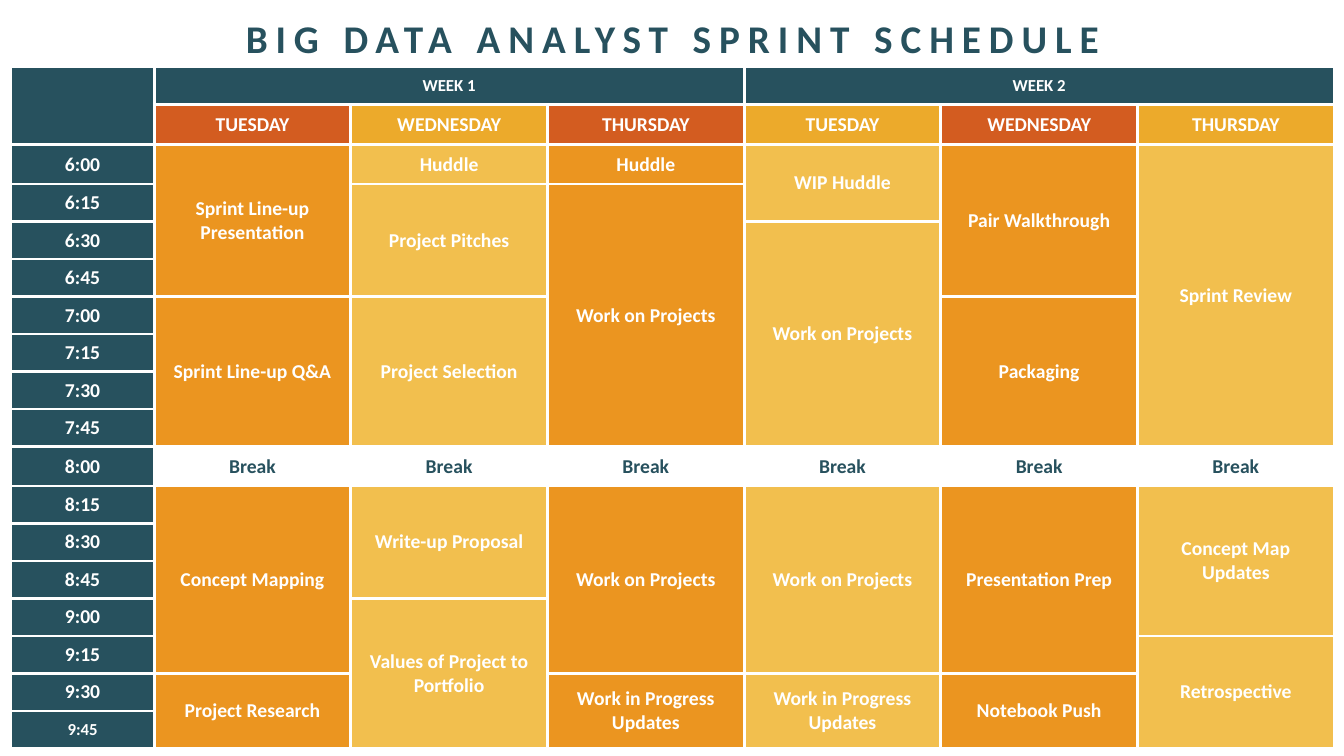
from dataclasses import dataclass

from lxml.etree import SubElement
from pptx import Presentation
from pptx.dml.color import RGBColor
from pptx.enum.text import MSO_ANCHOR, MSO_AUTO_SIZE, PP_ALIGN
from pptx.oxml.ns import qn
from pptx.util import Pt


@dataclass(frozen=True)
class Theme:
    font: str = "Calibri"
    navy: str = "27515E"
    white: str = "FFFFFF"
    day_fills: tuple = ("D35C20", "ECAA2B")
    activity_fills: tuple = ("EB9520", "F2BF4E")
    title_size: int = 28
    body_size: int = 14
    small_size: int = 12
    border: float = 2.25


theme = Theme()


def format_text(frame, size, color):
    paragraph = frame.paragraphs[0]
    paragraph.alignment = PP_ALIGN.CENTER
    for run in paragraph.runs:
        run.font.name = theme.font
        run.font.size = Pt(size)
        run.font.bold = True
        run.font.color.rgb = RGBColor.from_string(color)


def fill_cell(cell, text, fill, size=theme.body_size, color=theme.white):
    """Write centred text in a cell; a fill of None leaves it clear."""
    cell.text_frame.text = text
    cell.vertical_anchor = MSO_ANCHOR.MIDDLE
    format_text(cell.text_frame, size, color)
    if fill:
        cell.fill.solid()
        cell.fill.fore_color.rgb = RGBColor.from_string(fill)
    else:
        cell.fill.background()


# Each day lists its activities with the number of quarter hours they take.
days = [
    ("TUESDAY", [("Sprint Line-up Presentation", 4), ("Sprint Line-up Q&A", 4),
                 ("Break", 1), ("Concept Mapping", 5), ("Project Research", 2)]),
    ("WEDNESDAY", [("Huddle", 1), ("Project Pitches", 3), ("Project Selection", 4),
                   ("Break", 1), ("Write-up Proposal", 3),
                   ("Values of Project to Portfolio", 4)]),
    ("THURSDAY", [("Huddle", 1), ("Work on Projects", 7), ("Break", 1),
                  ("Work on Projects", 5), ("Work in Progress Updates", 2)]),
    ("TUESDAY", [("WIP Huddle", 2), ("Work on Projects", 6), ("Break", 1),
                 ("Work on Projects", 5), ("Work in Progress Updates", 2)]),
    ("WEDNESDAY", [("Pair Walkthrough", 4), ("Packaging", 4), ("Break", 1),
                   ("Presentation Prep", 5), ("Notebook Push", 2)]),
    ("THURSDAY", [("Sprint Review", 8), ("Break", 1),
                  ("Concept Map Updates", 4), ("Retrospective", 3)]),
]
times = [f"{hour}:{minute:02}" for hour in range(6, 10) for minute in range(0, 60, 15)]
header_rows = 2
days_per_week = 3

prs = Presentation()
prs.slide_width, prs.slide_height = Pt(960), Pt(540)
slide = prs.slides.add_slide(prs.slide_layouts[5])

title = slide.shapes.title
title.left, title.top, title.width, title.height = Pt(7.9), Pt(6.5), Pt(945.2), Pt(41)
title.text_frame.text = "BIG DATA ANALYST SPRINT SCHEDULE"
title.text_frame.vertical_anchor = MSO_ANCHOR.MIDDLE
title.text_frame.auto_size = MSO_AUTO_SIZE.SHAPE_TO_FIT_TEXT
format_text(title.text_frame, theme.title_size, theme.navy)
title.text_frame.paragraphs[0].runs[0].font._element.set("spc", "570")

schedule = slide.shapes.add_table(
    header_rows + len(times), 1 + len(days), Pt(7.9), Pt(47.8), Pt(945.2), Pt(485)
).table
schedule.first_row = False
schedule.horz_banding = False
for index, column in enumerate(schedule.columns):
    column.width = Pt(140.5 if index else 102.2)
tall_rows = [header_rows + times.index(time) for time in ("6:00", "8:00")]
for index, row in enumerate(schedule.rows):
    row.height = Pt(28.1 if index in tall_rows else 26.8)

for cell in schedule.iter_cells():
    properties = cell._tc.get_or_add_tcPr()
    for side in ("a:lnL", "a:lnR", "a:lnT", "a:lnB"):
        line = SubElement(properties, qn(side), w=str(Pt(theme.border)))
        SubElement(SubElement(line, qn("a:solidFill")), qn("a:srgbClr"), val=theme.white)

corner = schedule.cell(0, 0)
corner.merge(schedule.cell(header_rows - 1, 0))
fill_cell(corner, "", theme.navy)

for week in range(len(days) // days_per_week):
    first_day = 1 + week * days_per_week
    week_cell = schedule.cell(0, first_day)
    week_cell.merge(schedule.cell(0, first_day + days_per_week - 1))
    fill_cell(week_cell, f"WEEK {week + 1}", theme.navy, theme.small_size)

for row, time in enumerate(times, header_rows):
    size = theme.small_size if time == times[-1] else theme.body_size
    fill_cell(schedule.cell(row, 0), time, theme.navy, size)

for column, (day, activities) in enumerate(days, 1):
    tone = (column - 1) % 2
    fill_cell(schedule.cell(1, column), day, theme.day_fills[tone])
    row = header_rows
    for activity, quarters in activities:
        slot = schedule.cell(row, column)
        if quarters > 1:
            slot.merge(schedule.cell(row + quarters - 1, column))
        if activity == "Break":
            fill_cell(slot, activity, None, color=theme.navy)
        else:
            fill_cell(slot, activity, theme.activity_fills[tone])
        row += quarters

prs.save("out.pptx")
